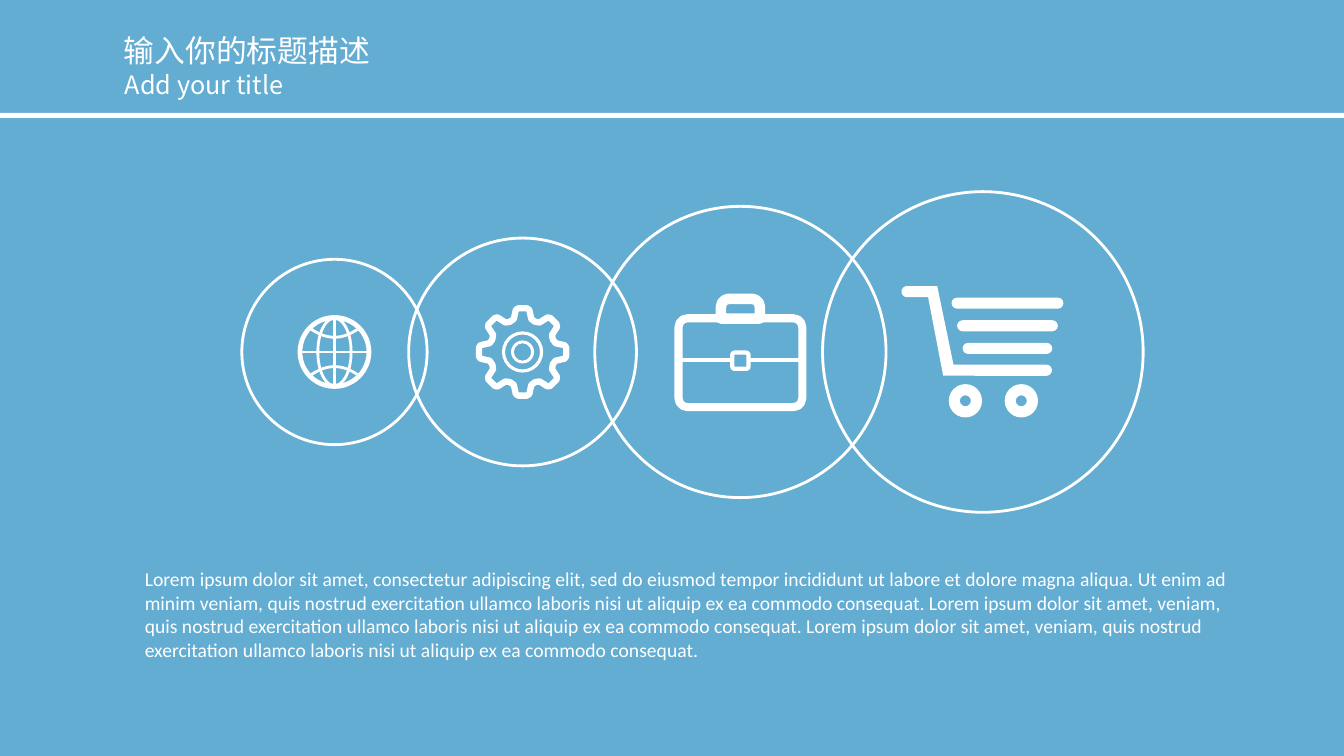
import math

from lxml import etree
from pptx import Presentation
from pptx import util as u
from pptx.dml.color import RGBColor
from pptx.enum import shapes, text
from pptx.oxml.ns import qn

KIND = shapes.MSO_SHAPE
WHITE = "FFFFFF"
BLUE = "63ACD2"
LOREM = (
    "Lorem ipsum dolor sit amet, consectetur adipiscing elit, sed do eiusmod tempor "
    "incididunt ut labore et dolore magna aliqua. Ut enim ad minim veniam, quis nostrud "
    "exercitation ullamco laboris nisi ut aliquip ex ea commodo consequat. Lorem ipsum "
    "dolor sit amet, veniam, quis nostrud exercitation ullamco laboris nisi ut aliquip ex "
    "ea commodo consequat. Lorem ipsum dolor sit amet, veniam, quis nostrud exercitation "
    "ullamco laboris nisi ut aliquip ex ea commodo consequat."
)


def colour(value):
    return RGBColor.from_string(value)


def write(box, words, size=14, font="Calibri", ink=WHITE):
    frame = box.text_frame
    frame.word_wrap = True
    frame.auto_size = text.MSO_AUTO_SIZE.NONE
    frame.vertical_anchor = text.MSO_ANCHOR.TOP
    para = frame.paragraphs[0]
    para.alignment = text.PP_ALIGN.LEFT
    span = para.add_run()
    span.text = words
    span.font.size = u.Pt(size)
    span.font.name = font
    span.font.color.rgb = colour(ink)
    east = etree.SubElement(span.font._element, qn("a:ea"))
    east.set("typeface", font)


def half_circle(x, y, radius, start):
    angles = [math.radians(start + 15 * step) for step in range(13)]
    return [(x + radius * math.cos(a), y + radius * math.sin(a)) for a in angles]


class Page:
    heading_font = "Noto Sans CJK SC"
    ink = WHITE

    def __init__(self, deck):
        self.page = deck.slides.add_slide(deck.slide_layouts[5])
        self.items = self.page.shapes
        fill = self.page.background.fill
        fill.solid()
        fill.fore_color.rgb = colour(BLUE)

    def paint(self, item, line):
        item.shadow.inherit = False
        if line:
            item.fill.background()
            item.line.color.rgb = colour(self.ink)
            item.line.width = u.Pt(line)
        else:
            item.fill.solid()
            item.fill.fore_color.rgb = colour(self.ink)
            item.line.fill.background()

    def title(self, words, left, top, width, height):
        box = self.items.title
        box.left, box.top = u.Cm(left), u.Cm(top)
        box.width, box.height = u.Cm(width), u.Cm(height)
        write(box, words, size=22, font=self.heading_font)

    def text(self, words, left, top, width, height, **style):
        box = self.items.add_textbox(u.Cm(left), u.Cm(top), u.Cm(width), u.Cm(height))
        write(box, words, **style)

    def shape(self, kind, x, y, width, height, line=None, adjust=None):
        item = self.items.add_shape(
            kind, u.Cm(x - width / 2), u.Cm(y - height / 2), u.Cm(width), u.Cm(height))
        if adjust is not None:
            item.adjustments[0] = adjust
        self.paint(item, line)

    def ring(self, x, y, size, thickness):
        self.shape(KIND.DONUT, x, y, size, size, adjust=thickness / size)

    def outline(self, points, line=None, close=True):
        places = [(u.Cm(x), u.Cm(y)) for x, y in points]
        builder = self.items.build_freeform(*places[0])
        builder.add_line_segments(places[1:], close=close)
        self.paint(builder.convert_to_shape(), line)

    def line(self, x1, y1, x2, y2, width):
        item = self.items.add_connector(
            shapes.MSO_CONNECTOR.STRAIGHT, u.Cm(x1), u.Cm(y1), u.Cm(x2), u.Cm(y2))
        item.line.color.rgb = colour(self.ink)
        item.line.width = u.Pt(width)
        etree.SubElement(item._element.spPr, qn("a:effectLst"))

    def globe(self, x, y):
        self.ring(x, y, 1.86, 0.12)
        self.shape(KIND.OVAL, x, y, 0.84, 1.7, line=2)
        self.line(x - 0.85, y, x + 0.85, y, 2)
        self.line(x, y - 0.85, x, y + 0.85, 2)
        steps = [step / 8 for step in range(-8, 9)]
        for side in (-1, 1):
            curve = [(x + 0.58 * t, y + side * (0.37 + 0.2 * t * t)) for t in steps]
            self.outline(curve, line=2, close=False)

    def gear(self, x, y):
        tooth = [(-0.32, -0.76), (-0.22, -0.83), (-0.17, -1.06), (-0.11, -1.1),
                 (0.11, -1.1), (0.17, -1.06), (0.22, -0.83)]
        rim = []
        for turn in range(8):
            cos, sin = math.cos(turn * math.pi / 4), math.sin(turn * math.pi / 4)
            rim += [(x + a * cos - b * sin, y + a * sin + b * cos) for a, b in tooth]
        self.outline(rim, line=4.5)
        self.ring(x, y, 1.04, 0.08)
        self.ring(x, y, 0.58, 0.07)

    def briefcase(self, x, y):
        self.shape(KIND.ROUNDED_RECTANGLE, x, y + 0.27, 3.12, 2.24, line=5.75, adjust=0.1)
        self.shape(KIND.ROUND_2_SAME_RECTANGLE, x, y - 1.09, 0.98, 0.5, line=7.5, adjust=0.4)
        self.shape(KIND.ROUNDED_RECTANGLE, x, y + 0.22, 0.41, 0.41, line=3, adjust=0.15)
        for side in (-1, 1):
            self.line(x + side * 1.56, y + 0.2, x + side * 0.24, y + 0.2, 3)

    def cart(self, x, y):
        handle = half_circle(x - 1.91, y - 1.52, 0.14, 90)
        foot = half_circle(x + 1.6, y + 0.46, 0.14, -90)
        self.outline(
            handle + [(x - 1.15, y - 1.66), (x - 0.74, y + 0.32)]
            + foot + [(x - 1, y + 0.6), (x - 1.38, y - 1.38)])
        for row in range(3):
            self.shape(KIND.ROUNDED_RECTANGLE, x + 0.62, y - 1.23 + 0.57 * row,
                       2.82 - 0.28 * row, 0.28, adjust=0.5)
        for offset in (-0.44, 0.97):
            self.ring(x + offset, y + 1.23, 0.84, 0.28)


def main():
    deck = Presentation()
    deck.slide_width, deck.slide_height = u.Cm(33.87), u.Cm(19.05)
    page = Page(deck)
    page.title("输入你的标题描述", 2.87, 0.66, 7.82, 1.19)
    page.text("Add your title", 2.9, 1.63, 6.78, 1.02, size=18, font=page.heading_font)
    page.shape(KIND.RECTANGLE, 33.87 / 2, 2.91, 33.87, 0.13)
    page.text(LOREM, 3.4, 14.17, 28.09, 2.64)

    middle = 8.87
    circles = [(8.43, 4.67, page.globe), (13.17, 5.74, page.gear),
               (18.66, 7.34, page.briefcase), (24.77, 8.08, page.cart)]
    for x, size, icon in circles:
        page.shape(KIND.OVAL, x, middle, size, size, line=2)
        icon(x, middle)
    deck.save("out.pptx")


if __name__ == "__main__":
    main()
